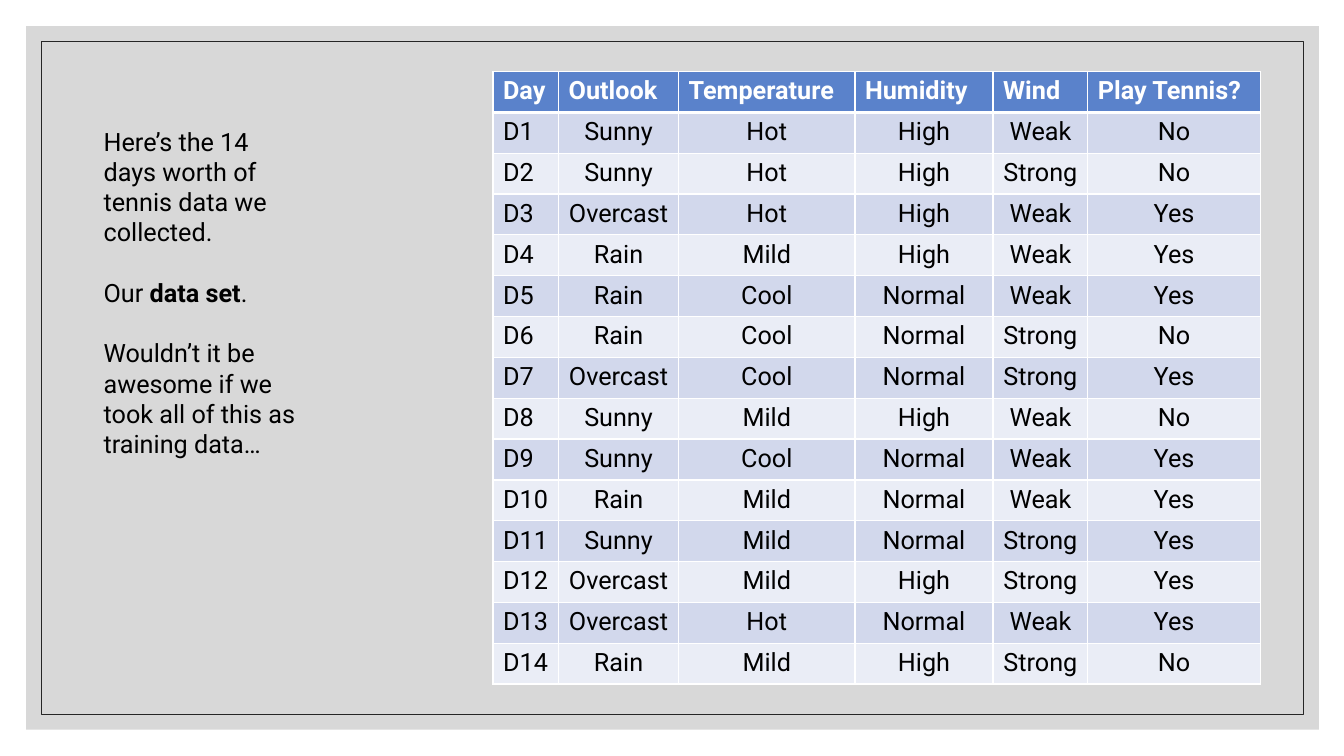
from lxml import etree
from pptx import Presentation
from pptx.dml.color import RGBColor
from pptx.enum.shapes import MSO_SHAPE
from pptx.enum.text import MSO_AUTO_SIZE, PP_ALIGN
from pptx.oxml.ns import qn
from pptx.util import Inches, Pt

RECT = MSO_SHAPE.RECTANGLE
LEFT, CENTER = PP_ALIGN.LEFT, PP_ALIGN.CENTER

# Content
HEADER = ["Day", "Outlook", "Temperature", "Humidity", "Wind", "Play Tennis?"]
DAYS = [
    ("Sunny", "Hot", "High", "Weak", "No"),
    ("Sunny", "Hot", "High", "Strong", "No"),
    ("Overcast", "Hot", "High", "Weak", "Yes"),
    ("Rain", "Mild", "High", "Weak", "Yes"),
    ("Rain", "Cool", "Normal", "Weak", "Yes"),
    ("Rain", "Cool", "Normal", "Strong", "No"),
    ("Overcast", "Cool", "Normal", "Strong", "Yes"),
    ("Sunny", "Mild", "High", "Weak", "No"),
    ("Sunny", "Cool", "Normal", "Weak", "Yes"),
    ("Rain", "Mild", "Normal", "Weak", "Yes"),
    ("Sunny", "Mild", "Normal", "Strong", "Yes"),
    ("Overcast", "Mild", "High", "Strong", "Yes"),
    ("Overcast", "Hot", "Normal", "Weak", "Yes"),
    ("Rain", "Mild", "High", "Strong", "No"),
]
# Paragraphs of (text, bold) runs
NOTES = [
    [("Here’s the 14 days worth of tennis data we collected.", False)],
    [("Our ", False), ("data set", True), (".", False)],
    [("Wouldn’t it be awesome if we took all of this as training data…", False)],
]
COL_WIDTHS = [0.65, 1.19, 1.75, 1.37, 0.94, 1.71]
TABLE_HEIGHT = 6.08
HEADER_FILL, BAND_FILLS = "5A82CB", ("D2D8EC", "EAEDF6")
BODY = {"name": "Roboto", "size": Pt(18), "bold": False}


def rgb(color):
    return RGBColor.from_string(color)


def add_run(p, text, color="000000", **changes):
    r = p.add_run()
    r.text = text
    for name, value in {**BODY, **changes}.items():
        setattr(r.font, name, value)
    r.font.color.rgb = rgb(color)


def add_frame(s, inset):
    sp = s.shapes.add_shape(RECT, Inches(inset), Inches(inset),
                            Inches(13.34 - 2 * inset), Inches(7.5 - 2 * inset))
    sp.shadow.inherit = False
    return sp


def set_borders(cell, bottom):
    tcPr = cell._tc.get_or_add_tcPr()
    for side, width in (("L", 1), ("R", 1), ("T", 1), ("B", bottom)):
        ln = etree.SubElement(tcPr, qn("a:ln" + side), w=str(Pt(width)))
        fill = etree.SubElement(ln, qn("a:solidFill"))
        etree.SubElement(fill, qn("a:srgbClr"), val="FFFFFF")


prs = Presentation()
prs.slide_width, prs.slide_height = Inches(13.33), Inches(7.5)
s = prs.slides.add_slide(prs.slide_layouts[6])

# Grey panel, 60% opaque
panel = add_frame(s, 0.26)
panel.fill.solid()
panel.fill.fore_color.rgb = rgb("BFBFBF")
panel.line.fill.background()
color = panel._element.spPr.find(".//" + qn("a:srgbClr"))
etree.SubElement(color, qn("a:alpha"), val="60000")

# Thin inner frame
frame = add_frame(s, 0.41)
frame.fill.background()
frame.line.color.rgb = rgb("262626")
frame.line.width = Pt(0.5)

# Data table
rows = [HEADER] + [(f"D{n}", *day) for n, day in enumerate(DAYS, 1)]
table = s.shapes.add_table(len(rows), len(HEADER), Inches(4.89), Inches(0.71),
                           Inches(sum(COL_WIDTHS)), Inches(TABLE_HEIGHT)).table
for col, width in zip(table.columns, COL_WIDTHS):
    col.width = Inches(width)
for i, values in enumerate(rows):
    table.rows[i].height = Inches(TABLE_HEIGHT / len(rows))
    is_header = i == 0
    for j, value in enumerate(values):
        cell = table.cell(i, j)
        set_borders(cell, 3 if is_header else 1)
        cell.fill.solid()
        cell.fill.fore_color.rgb = rgb(HEADER_FILL if is_header else BAND_FILLS[(i - 1) % 2])
        p = cell.text_frame.paragraphs[0]
        p.alignment = LEFT if is_header or j == 0 else CENTER
        add_run(p, value, "FFFFFF" if is_header else "000000", bold=is_header)

# Notes beside the table
tf = s.shapes.add_textbox(Inches(0.93), Inches(1.2), Inches(2.13), Inches(3.43)).text_frame
tf.word_wrap = True
tf.auto_size = MSO_AUTO_SIZE.SHAPE_TO_FIT_TEXT
for i, runs in enumerate(NOTES):
    p = tf.add_paragraph() if i else tf.paragraphs[0]
    if i:
        p.space_before = Pt(21.6)
    for text, bold in runs:
        add_run(p, text, bold=bold)

prs.save("out.pptx")
